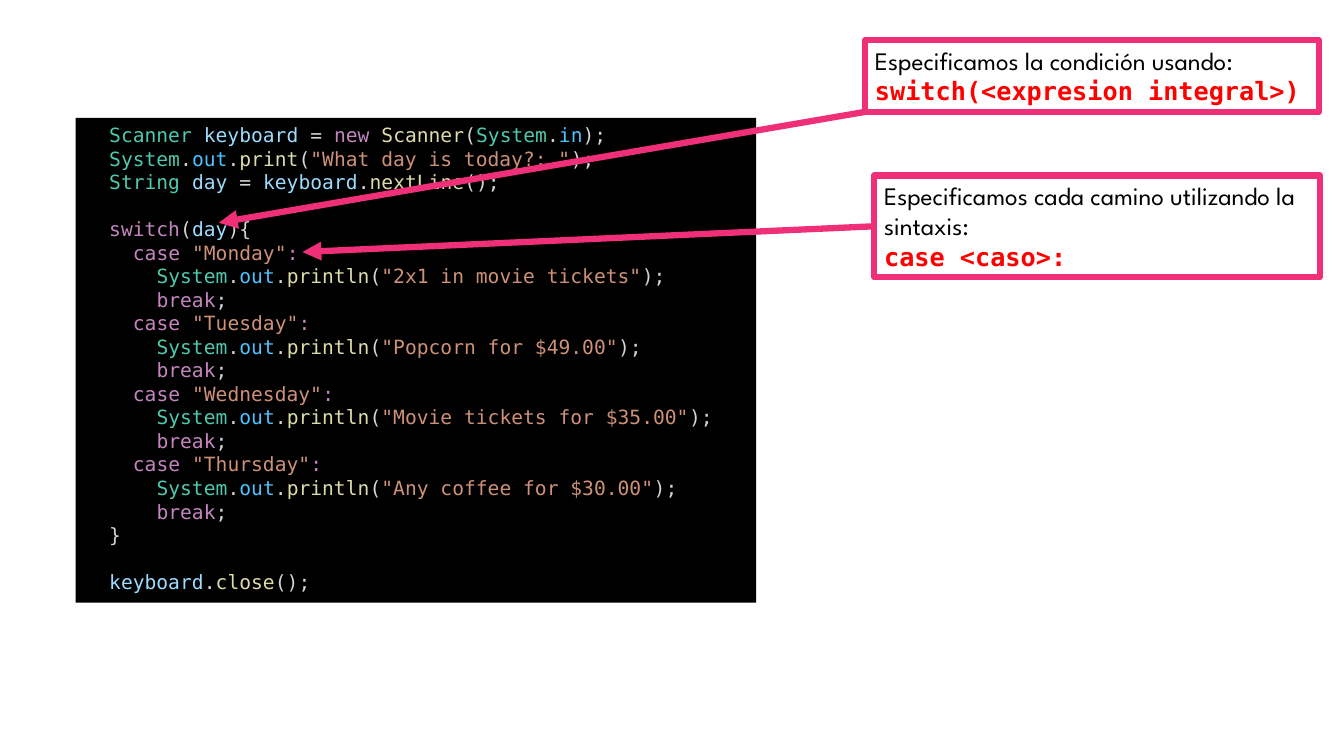
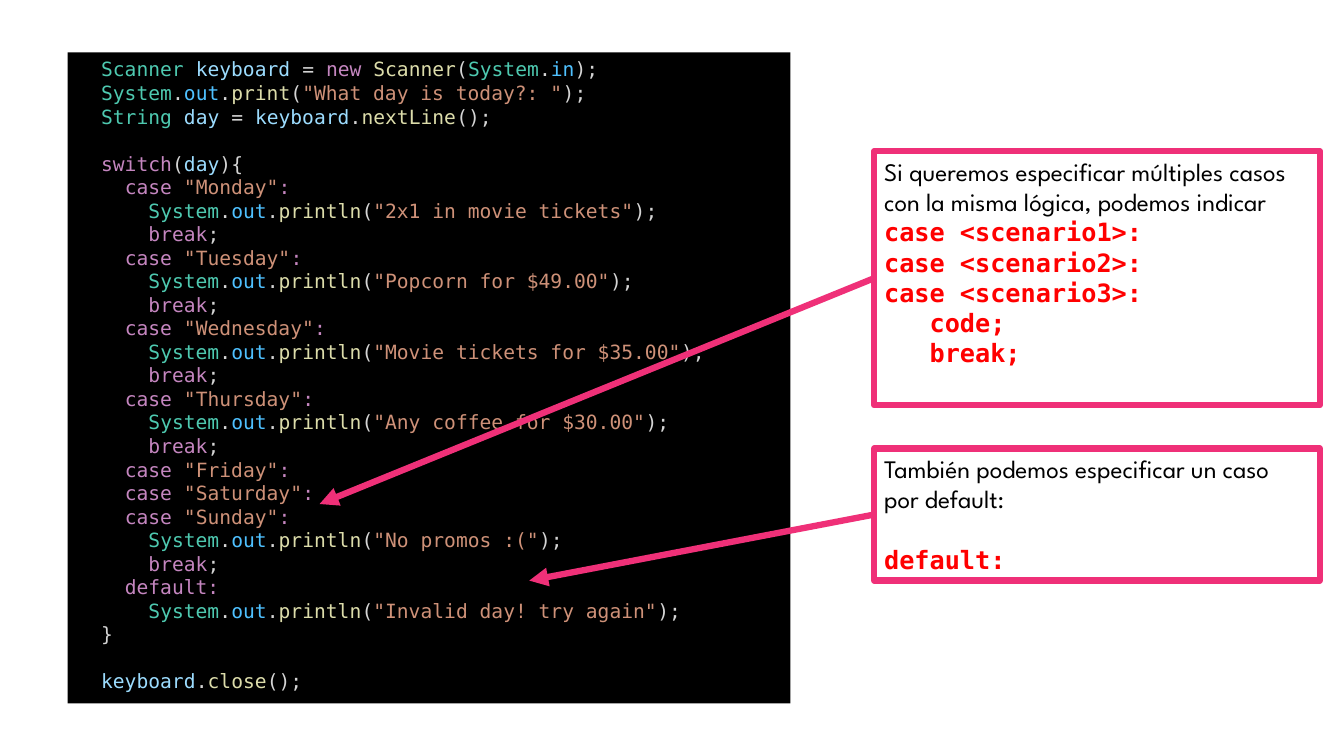
from dataclasses import dataclass
from itertools import groupby

from lxml.etree import SubElement
from pptx import Presentation
from pptx.dml.color import RGBColor
from pptx.enum.shapes import MSO_CONNECTOR, MSO_SHAPE
from pptx.enum.text import MSO_ANCHOR, PP_ALIGN
from pptx.oxml.ns import qn
from pptx.util import Inches, Pt


@dataclass(frozen=True)
class Theme:
    body_font: str = "League Spartan"
    code_font: str = "DejaVu Sans Mono"
    code_size: int = 14
    note_size: int = 18
    line_pitch: float = 1.2
    border: float = 4.5
    accent: str = "EF3078"
    text: str = "000000"
    highlight: str = "FF0000"
    code_fill: str = "000000"
    plain: str = "D4D4D4"
    keyword: str = "C586C0"
    type_name: str = "4EC9B0"
    member: str = "4FC1FF"
    method: str = "DCDCAA"
    variable: str = "9CDCFE"
    string: str = "CE9178"


THEME = Theme()
KEYWORDS = {"new", "switch", "case", "break", "default"}
TYPES = {"System", "String", "Scanner"}
MEMBERS = {"in", "out"}

# Code shared by both slides
OPENING = """\
  Scanner keyboard = new Scanner(System.in);
  System.out.print("What day is today?: ");
  String day = keyboard.nextLine();

  switch(day){"""
CLOSING = """\
  }

  keyboard.close();"""
PROMOTIONS = {
    "Monday": "2x1 in movie tickets",
    "Tuesday": "Popcorn for $49.00",
    "Wednesday": "Movie tickets for $35.00",
    "Thursday": "Any coffee for $30.00",
}
WEEKEND = """\
    case "Friday":
    case "Saturday":
    case "Sunday":
      System.out.println("No promos :(");
      break;
    default:
      System.out.println("Invalid day! try again");"""


def switch_code(*extra):
    cases = [
        f'    case "{day}":\n      System.out.println("{promotion}");\n      break;'
        for day, promotion in PROMOTIONS.items()
    ]
    return "\n".join([OPENING, *cases, *extra, CLOSING])


def word_color(word, following):
    if word in KEYWORDS:
        return THEME.keyword
    if following.startswith("("):
        return THEME.method
    if word in TYPES:
        return THEME.type_name
    return THEME.member if word in MEMBERS else THEME.variable


def color_tokens(line):
    """Yield each piece of a code line with its colour."""
    for index, part in enumerate(line.split('"')):
        if index % 2:
            yield f'"{part}"', THEME.string
            continue
        tokens = ["".join(group) for _, group in groupby(part, str.isalnum)]
        for token, following in zip(tokens, tokens[1:] + [""]):
            if token.isalnum():
                yield token, word_color(token, following)
            else:
                yield token, THEME.keyword if token == ":" else THEME.plain


def add_run(paragraph, text, *, font, size, color, bold=False):
    run = paragraph.add_run()
    run.text = text
    run.font.name = font
    run.font.size = Pt(size)
    run.font.bold = bold
    run.font.color.rgb = RGBColor.from_string(color)


class Deck:
    def __init__(self, theme):
        self.theme = theme
        self.presentation = Presentation()
        self.presentation.slide_width = Inches(13.33)
        self.presentation.slide_height = Inches(7.5)
        self.slide = None

    def add_slide(self):
        layout = self.presentation.slide_layouts[6]
        self.slide = self.presentation.slides.add_slide(layout)

    def box(self, left, top, width, height):
        shape = self.slide.shapes.add_shape(
            MSO_SHAPE.RECTANGLE,
            Inches(left), Inches(top), Inches(width), Inches(height),
        )
        shape.shadow.inherit = False
        shape.text_frame.word_wrap = True
        shape.text_frame.vertical_anchor = MSO_ANCHOR.TOP
        return shape

    def write_lines(self, shape, lines, size):
        """Write lists of (text, format); an empty list is a one-line gap."""
        frame = shape.text_frame
        paragraph, gap = frame.paragraphs[0], 0
        pitch = size * self.theme.line_pitch
        for index, runs in enumerate(lines):
            if not runs:
                gap += pitch
                continue
            if index:
                paragraph = frame.add_paragraph()
            paragraph.alignment = PP_ALIGN.LEFT
            paragraph.line_spacing = Pt(pitch)
            paragraph.space_before = Pt(gap)
            gap = 0
            for text, style in runs:
                add_run(paragraph, text, size=size, **style)

    def code_panel(self, code, *position):
        shape = self.box(*position)
        shape.fill.solid()
        shape.fill.fore_color.rgb = RGBColor.from_string(self.theme.code_fill)
        shape.line.fill.background()
        lines = [
            [(token, {"font": self.theme.code_font, "color": color})
             for token, color in color_tokens(line) if token]
            for line in code.splitlines()
        ]
        self.write_lines(shape, lines, self.theme.code_size)

    def callout(self, explanation, syntax, *position):
        shape = self.box(*position)
        shape.fill.background()
        self.accent_line(shape)
        body = {"font": self.theme.body_font, "color": self.theme.text}
        code = {"font": self.theme.code_font, "color": self.theme.highlight,
                "bold": True}
        lines = [[(explanation, body)]]
        lines += [[(line, code)] if line else [] for line in syntax.split("\n")]
        self.write_lines(shape, lines, self.theme.note_size)
        return shape

    def accent_line(self, shape):
        shape.line.color.rgb = RGBColor.from_string(self.theme.accent)
        shape.line.width = Pt(self.theme.border)

    def arrow(self, callout, target_left, target_top, from_corner=False):
        """Point from the callout's left side, or its lower left corner."""
        connector = self.slide.shapes.add_connector(
            MSO_CONNECTOR.STRAIGHT, callout.left, callout.top + callout.height,
            Inches(target_left), Inches(target_top),
        )
        if not from_corner:
            connector.begin_connect(callout, 1)
        self.accent_line(connector)
        properties = connector.element.spPr
        SubElement(properties.find(qn("a:ln")), qn("a:tailEnd"), type="triangle")
        SubElement(properties, qn("a:effectLst"))


def main():
    deck = Deck(THEME)

    # Slide 1: condition and cases
    deck.add_slide()
    deck.code_panel(switch_code(), 0.75, 1.17, 6.75, 4.81)
    case_note = deck.callout(
        "Especificamos cada camino utilizando la sintaxis:",
        "case <caso>:", 8.67, 1.74, 4.42, 1.01)
    deck.arrow(case_note, 3, 2.5)
    condition_note = deck.callout(
        "Especificamos la condición usando:",
        "switch(<expresion integral>)", 8.58, 0.4, 4.5, 0.71)
    deck.arrow(condition_note, 2.17, 2.21, from_corner=True)

    # Slide 2: grouped cases and default
    deck.add_slide()
    deck.code_panel(switch_code(WEEKEND), 0.67, 0.52, 7.17, 6.46)
    group_note = deck.callout(
        "Si queremos especificar múltiples casos con la misma lógica, "
        "podemos indicar",
        "case <scenario1>:\ncase <scenario2>:\ncase <scenario3>:\n"
        "   code;\n   break;",
        8.67, 1.5, 4.42, 2.52)
    deck.arrow(group_note, 3.17, 5)
    default_note = deck.callout(
        "También podemos especificar un caso por default:",
        "\ndefault:", 8.67, 4.45, 4.42, 1.31)
    deck.arrow(default_note, 5.25, 5.76)

    deck.presentation.save("out.pptx")


if __name__ == "__main__":
    main()
